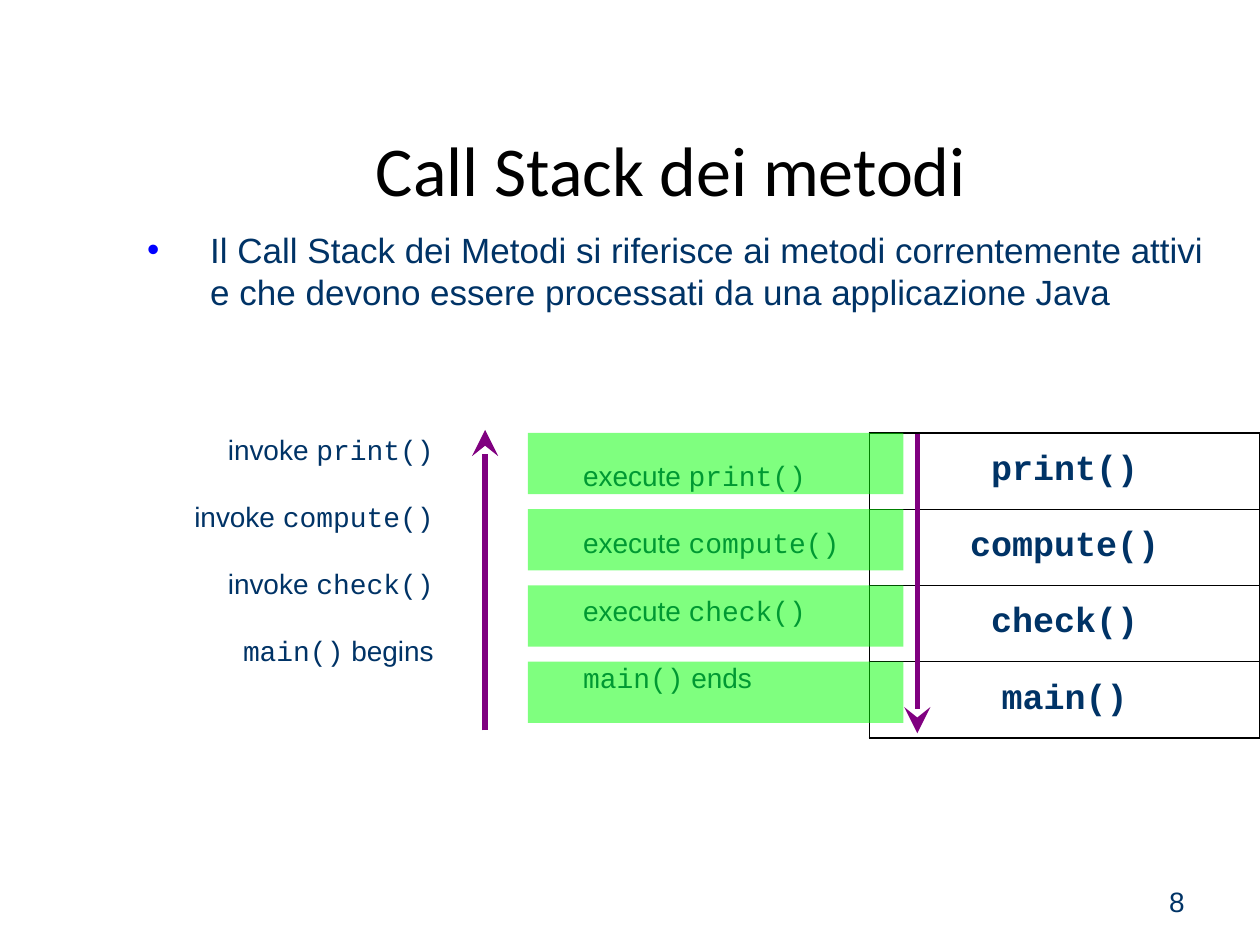
from dataclasses import dataclass
from typing import NamedTuple

from lxml import etree
from pptx import Presentation, util as u
from pptx.dml.color import RGBColor
from pptx.enum import shapes, text
from pptx.oxml import ns


@dataclass(frozen=True)
class Theme:
    ink: str = "003366"
    black: str = "000000"
    bullet: str = "0000FF"
    bar: str = "00FF00"
    arrow: str = "800080"
    sans: str = "Arial"
    mono: str = "Courier New"
    heading: str = "Calibri"
    title_size: float = 40
    body_size: float = 20
    label_size: float = 16
    label_gap: float = 19.2
    outer_line: float = 1.08
    inner_line: float = 0.45


class Area(NamedTuple):
    left: float
    top: float
    width: float
    height: float


class Span(NamedTuple):
    words: str
    font: str


class Steps(NamedTuple):
    area: Area
    align: text.PP_ALIGN
    lines: list[list[Span]]


class Arrow(NamedTuple):
    x: float
    start: float
    end: float


THEME = Theme()
WIDTH, HEIGHT = u.Inches(10), u.Inches(7.5)
METHODS = ["print()", "compute()", "check()", "main()"]
STACK_TOP, ROW_PITCH, BAR_HEIGHT = 45.8, 8.07, 6.5


def across(share: float) -> int:
    return round(WIDTH * share / 100)


def down(share: float) -> int:
    return round(HEIGHT * share / 100)


def place(area: Area) -> tuple[int, int, int, int]:
    return across(area.left), down(area.top), across(area.width), down(area.height)


def child(parent, tag: str, **attributes: str):
    return etree.SubElement(parent, ns.qn(tag), attributes)


def style(font, name: str, size: float, color: str, bold: bool = False) -> None:
    font.name, font.size, font.bold = name, u.Pt(size), bold
    font.color.rgb = RGBColor.from_string(color)


def add_box(page, area: Area, anchor=text.MSO_ANCHOR.TOP):
    frame = page.shapes.add_textbox(*place(area)).text_frame
    frame.word_wrap = True
    frame.vertical_anchor = anchor
    return frame


def add_title(page, area: Area, words: str) -> None:
    title = page.shapes.title
    title.left, title.top, title.width, title.height = place(area)
    title.text_frame.text = words
    title.text_frame.vertical_anchor = text.MSO_ANCHOR.MIDDLE
    para = title.text_frame.paragraphs[0]
    para.alignment = text.PP_ALIGN.CENTER
    style(para.font, THEME.heading, THEME.title_size, THEME.black)


def add_number(page, area: Area, words: str) -> None:
    para = add_box(page, area, text.MSO_ANCHOR.MIDDLE).paragraphs[0]
    para.text = words
    para.alignment = text.PP_ALIGN.RIGHT
    style(para.font, THEME.sans, THEME.label_size, THEME.ink)


def add_bullet(page, area: Area, words: str) -> None:
    para = add_box(page, area).paragraphs[0]
    para.text = words
    props = para._p.get_or_add_pPr()
    props.set("marL", str(u.Inches(0.5)))
    props.set("indent", str(-u.Inches(0.5)))
    child(child(props, "a:buClr"), "a:srgbClr", val=THEME.bullet)
    child(props, "a:buFont", typeface=THEME.sans)
    child(props, "a:buChar", char="•")
    style(para.font, THEME.sans, THEME.body_size, THEME.ink)


def add_steps(page, steps: Steps) -> None:
    frame = add_box(page, steps.area)
    for index, line in enumerate(steps.lines):
        para = frame.add_paragraph() if index else frame.paragraphs[0]
        para.alignment = steps.align
        if index:
            para.space_before = u.Pt(THEME.label_gap)
        for span in line:
            run = para.add_run()
            run.text = span.words
            style(run.font, span.font, THEME.label_size, THEME.ink)


def set_borders(cell, first: bool, last: bool) -> None:
    props = cell._tc.get_or_add_tcPr()
    for side, outer in (("L", True), ("R", True), ("T", first), ("B", last)):
        weight = THEME.outer_line if outer else THEME.inner_line
        line = child(props, f"a:ln{side}", w=str(u.Pt(weight)))
        child(child(line, "a:solidFill"), "a:srgbClr", val=THEME.black)


def add_stack(page, left: float, width: float) -> None:
    area = Area(left, STACK_TOP, width, ROW_PITCH * len(METHODS))
    table = page.shapes.add_table(len(METHODS), 1, *place(area)).table
    table.first_row = table.horz_banding = False
    for index, method in enumerate(METHODS):
        cell = table.cell(index, 0)
        cell.text = method
        cell.vertical_anchor = text.MSO_ANCHOR.MIDDLE
        set_borders(cell, index == 0, index == len(METHODS) - 1)
        cell.fill.background()
        para = cell.text_frame.paragraphs[0]
        para.alignment = text.PP_ALIGN.CENTER
        style(para.font, THEME.mono, THEME.body_size, THEME.ink, bold=True)


def add_bar(page, area: Area) -> None:
    bar = page.shapes.add_shape(shapes.MSO_SHAPE.RECTANGLE, *place(area))
    bar.shadow.inherit = False
    bar.line.fill.background()
    bar.fill.solid()
    bar.fill.fore_color.rgb = RGBColor.from_string(THEME.bar)
    color = bar._element.spPr.find(ns.qn("a:solidFill"))[0]
    child(color, "a:alpha", val="50000")


def add_arrow(page, arrow: Arrow) -> None:
    x = across(arrow.x)
    line = page.shapes.add_connector(
        shapes.MSO_CONNECTOR.STRAIGHT, x, down(arrow.start), x, down(arrow.end))
    line.line.width = u.Pt(3)
    line.line.color.rgb = RGBColor.from_string(THEME.arrow)
    child(line.line._get_or_add_ln(), "a:tailEnd", type="stealth", w="lg", len="lg")
    child(line._element.spPr, "a:effectLst")


def step_lines(verb: str, final: str) -> list[list[Span]]:
    calls = [[Span(f"{verb} ", THEME.sans), Span(method, THEME.mono)]
             for method in METHODS[:-1]]
    return calls + [[Span(METHODS[-1], THEME.mono), Span(f" {final}", THEME.sans)]]


def main() -> None:
    deck = Presentation()
    deck.slide_width, deck.slide_height = WIDTH, HEIGHT
    page = deck.slides.add_slide(deck.slide_layouts[5])
    add_title(page, Area(14.6, 13.2, 77.3, 9.2), "Call Stack dei metodi")
    add_number(page, Area(71.7, 92.7, 23.3, 5.3), "8")
    add_stack(page, 69, 31)
    for steps in (
        Steps(Area(11.4, 45.1, 24, 31), text.PP_ALIGN.RIGHT, step_lines("invoke", "begins")),
        Steps(Area(45.3, 47.9, 24, 31), text.PP_ALIGN.LEFT, step_lines("execute", "ends")),
    ):
        add_steps(page, steps)
    for row in range(len(METHODS)):
        add_bar(page, Area(41.9, STACK_TOP + row * ROW_PITCH, 29.8, BAR_HEIGHT))
    for arrow in (Arrow(38.5, 77.3, 45.5), Arrow(72.8, 45.9, 77.6)):
        add_arrow(page, arrow)
    add_bullet(page, Area(10.7, 23.5, 86.6, 10.8),
               "Il Call Stack dei Metodi si riferisce ai metodi correntemente attivi "
               "e che devono essere processati da una applicazione Java")
    deck.save("out.pptx")


if __name__ == "__main__":
    main()
